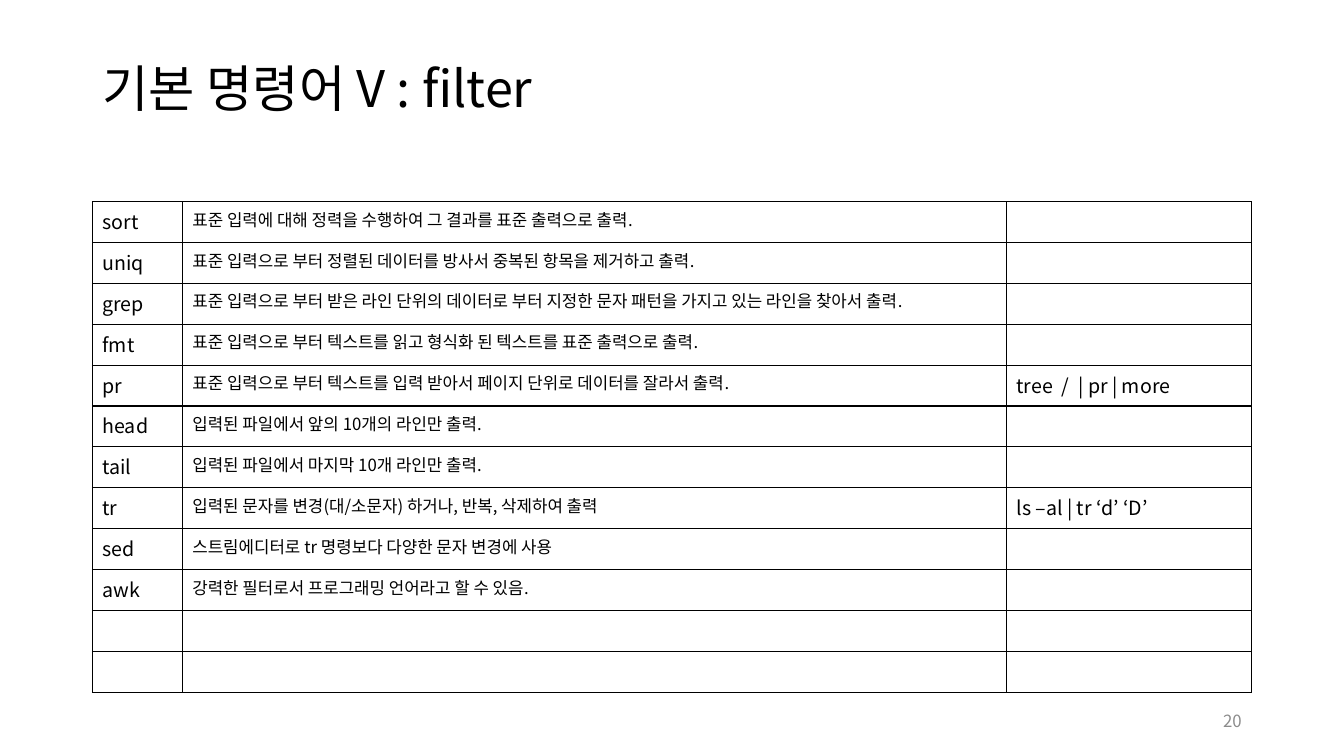
from dataclasses import dataclass

from lxml import etree
from pptx import Presentation
from pptx.dml.color import RGBColor
from pptx.enum.text import MSO_ANCHOR, PP_ALIGN
from pptx.oxml.ns import qn
from pptx.util import Pt

MIDDLE = MSO_ANCHOR.MIDDLE
LEFT = PP_ALIGN.LEFT
RIGHT = PP_ALIGN.RIGHT
BORDER_TAGS = ("a:lnL", "a:lnR", "a:lnT", "a:lnB")


@dataclass(frozen=True)
class Theme:
    font: str = "Noto Sans CJK KR"
    ink: str = "000000"
    muted: str = "8C8C8C"
    title_size: int = 36
    command_size: int = 14
    description_size: int = 12
    page_size: int = 12
    border_width: int = 1


COMMANDS = [
    ("sort", "표준 입력에 대해 정력을 수행하여 그 결과를 표준 출력으로 출력.", ""),
    ("uniq", "표준 입력으로 부터 정렬된 데이터를 방사서 중복된 항목을 제거하고 출력.", ""),
    ("grep", "표준 입력으로 부터 받은 라인 단위의 데이터로 부터 지정한 문자 패턴을 가지고 있는 라인을 찾아서 출력.", ""),
    ("fmt", "표준 입력으로 부터 텍스트를 읽고 형식화 된 텍스트를 표준 출력으로 출력.", ""),
    ("pr", "표준 입력으로 부터 텍스트를 입력 받아서 페이지 단위로 데이터를 잘라서 출력.", "tree  /  | pr | more"),
    ("head", "입력된 파일에서 앞의 10개의 라인만 출력.", ""),
    ("tail", "입력된 파일에서 마지막 10개 라인만 출력.", ""),
    ("tr", "입력된 문자를 변경(대/소문자) 하거나, 반복, 삭제하여 출력", "ls –al | tr ‘d’ ‘D’"),
    ("sed", "스트림에디터로 tr 명령보다 다양한 문자 변경에 사용", ""),
    ("awk", "강력한 필터로서 프로그래밍 언어라고 할 수 있음.", ""),
    ("", "", ""),
    ("", "", ""),
]


class SlideBuilder:
    def __init__(self, slide, theme):
        self.slide = slide
        self.theme = theme

    def fill_paragraph(self, paragraph, text, size, color):
        font = paragraph.font
        font.size = Pt(size)
        font.color.rgb = RGBColor.from_string(color)
        font.name = self.theme.font
        defaults = paragraph._p.pPr.find(qn("a:defRPr"))
        etree.SubElement(defaults, qn("a:ea"), typeface=self.theme.font)
        if text:
            paragraph.add_run().text = text
        else:
            etree.SubElement(paragraph._p, qn("a:endParaRPr"), sz=str(size * 100))

    def text(self, box, text, size, color, align=LEFT, line_spacing=1.0):
        frame = self.slide.shapes.add_textbox(*map(Pt, box)).text_frame
        frame.word_wrap = True
        frame.vertical_anchor = MIDDLE
        paragraph = frame.paragraphs[0]
        paragraph.alignment = align
        paragraph.line_spacing = line_spacing
        self.fill_paragraph(paragraph, text, size, color)

    def outline(self, cell):
        properties = cell._tc.get_or_add_tcPr()
        width = str(Pt(self.theme.border_width))
        for tag in BORDER_TAGS:
            border = etree.SubElement(properties, qn(tag), w=width)
            fill = etree.SubElement(border, qn("a:solidFill"))
            etree.SubElement(fill, qn("a:srgbClr"), val=self.theme.ink)

    def table(self, box, rows, widths, sizes):
        frame = self.slide.shapes.add_table(len(rows), len(widths), *map(Pt, box))
        table = frame.table
        table.first_row = False
        table.horz_banding = False
        for column, width in zip(table.columns, widths):
            column.width = Pt(width)
        for row, texts in zip(table.rows, rows):
            row.height = Pt(box[3] / len(rows))
            for cell, text, size in zip(row.cells, texts, sizes):
                self.outline(cell)
                cell.fill.background()
                self.fill_paragraph(cell.text_frame.paragraphs[0], text, size, self.theme.ink)


def main():
    theme = Theme()
    presentation = Presentation()
    presentation.slide_width = Pt(960)
    presentation.slide_height = Pt(540)
    slide = presentation.slides.add_slide(presentation.slide_layouts[6])
    builder = SlideBuilder(slide, theme)

    builder.text((66, 28.75, 828, 72.75), "기본 명령어 V : filter",
                 theme.title_size, theme.ink, line_spacing=0.9)
    builder.table((66, 144, 828, 350.4), COMMANDS, (64.25, 588.75, 175),
                  (theme.command_size, theme.description_size, theme.command_size))
    builder.text((678, 500.5, 216, 28.75), "20", theme.page_size, theme.muted, RIGHT)

    presentation.save("out.pptx")


if __name__ == "__main__":
    main()
